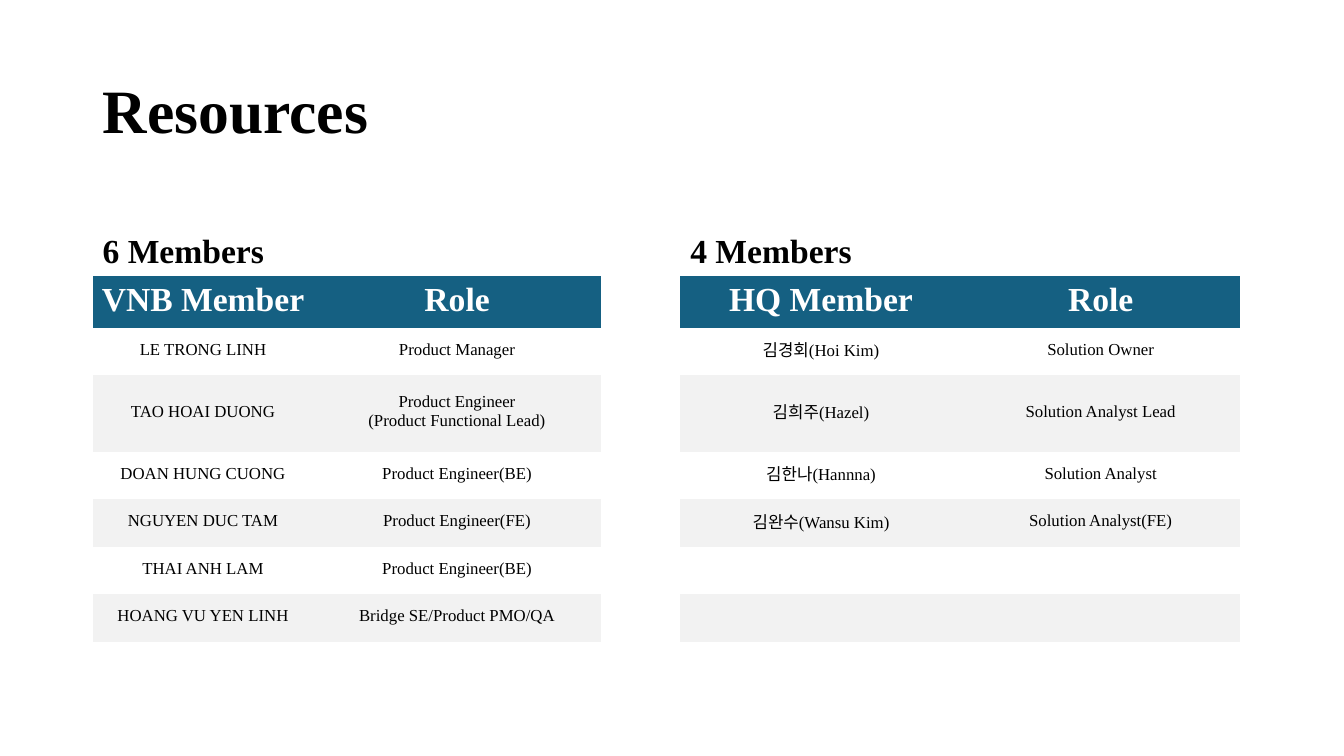
import pptx
import pptx.dml.color
import pptx.enum.text
import pptx.oxml.ns
import pptx.util

Pt = pptx.util.Pt
RGBColor = pptx.dml.color.RGBColor
ANCHOR = pptx.enum.text.MSO_ANCHOR
ALIGN = pptx.enum.text.PP_ALIGN

BLACK = RGBColor(0x00, 0x00, 0x00)
WHITE = RGBColor(0xFF, 0xFF, 0xFF)
TEAL = RGBColor(0x15, 0x60, 0x82)
BAND = RGBColor(0xF2, 0xF2, 0xF2)
PLAIN_TABLE = "{2D5ABB26-0587-4C30-8999-92F81FD0307C}"

LEFT, RIGHT = 66.2, 486
HEADING_TOP, ROSTER_TOP = 132.5, 197.3
ROW_HEIGHTS = [36.9, 34, 54.5, 34, 34, 34, 34]

VNB_ROSTER = [
    ("VNB Member", "Role"),
    ("LE TRONG LINH", "Product Manager"),
    ("TAO HOAI DUONG", "Product Engineer\n(Product Functional Lead)"),
    ("DOAN HUNG CUONG", "Product Engineer(BE)"),
    ("NGUYEN DUC TAM", "Product Engineer(FE)"),
    ("THAI ANH LAM", "Product Engineer(BE)"),
    ("HOANG VU YEN LINH", "Bridge SE/Product PMO/QA"),
]
HQ_ROSTER = [
    ("HQ Member", "Role"),
    ("김경회(Hoi Kim)", "Solution Owner"),
    ("김희주(Hazel)", "Solution Analyst Lead"),
    ("김한나(Hannna)", "Solution Analyst"),
    ("김완수(Wansu Kim)", "Solution Analyst(FE)"),
    ("", ""),
    ("", ""),
]


class ResourceSlide:
    """Draws headings and rosters in one style on one slide."""

    font = "Times New Roman"

    def __init__(self, slide):
        self.slide = slide

    def add_text(self, paragraph, text, size, color, bold):
        for index, line in enumerate(text.split("\n")):
            if index:
                paragraph.add_line_break()
            run = paragraph.add_run()
            run.text = line
            run.font.name = self.font
            run.font.size = Pt(size)
            run.font.bold = bold
            run.font.color.rgb = color

    def heading(self, text, left, top, width, height, size, anchor):
        box = self.slide.shapes.add_textbox(Pt(left), Pt(top), Pt(width), Pt(height))
        frame = box.text_frame
        frame.word_wrap = True
        frame.vertical_anchor = anchor
        paragraph = frame.paragraphs[0]
        paragraph.line_spacing = 0.9
        self.add_text(paragraph, text, size, BLACK, True)

    def roster(self, members, left, top, column_widths):
        holder = self.slide.shapes.add_table(
            len(members), len(column_widths), Pt(left), Pt(top),
            Pt(sum(column_widths)), Pt(sum(ROW_HEIGHTS)))
        for style in holder.element.iter(pptx.oxml.ns.qn("a:tableStyleId")):
            style.text = PLAIN_TABLE
        table = holder.table
        for column, width in zip(table.columns, column_widths):
            column.width = Pt(width)
        for index, (row, entry) in enumerate(zip(table.rows, members)):
            row.height = Pt(ROW_HEIGHTS[index])
            for cell, text in zip(row.cells, entry):
                self.roster_cell(cell, text, index)

    def roster_cell(self, cell, text, row_index):
        header = row_index == 0
        if row_index % 2:
            cell.fill.background()
        else:
            cell.fill.solid()
            cell.fill.fore_color.rgb = TEAL if header else BAND
        cell.vertical_anchor = ANCHOR.MIDDLE
        cell.margin_left = cell.margin_right = cell.margin_top = Pt(0.7)
        cell.margin_bottom = Pt(3.6)
        if text:
            paragraph = cell.text_frame.paragraphs[0]
            paragraph.alignment = ALIGN.CENTER
            self.add_text(paragraph, text, 24 if header else 12,
                          WHITE if header else BLACK, header)


def main():
    deck = pptx.Presentation()
    deck.slide_width, deck.slide_height = Pt(960), Pt(540)
    resources = ResourceSlide(deck.slides.add_slide(deck.slide_layouts[6]))
    resources.heading("Resources", LEFT, 28.8, 828, 104.4, 44, ANCHOR.MIDDLE)
    teams = [
        ("6 Members", LEFT, VNB_ROSTER, (157.7, 205.2)),
        ("4 Members", RIGHT, HQ_ROSTER, (200.9, 198.7)),
    ]
    for headcount, left, members, column_widths in teams:
        resources.heading(headcount, left, HEADING_TOP, 407, 64.8, 24, ANCHOR.BOTTOM)
        resources.roster(members, left, ROSTER_TOP, column_widths)
    deck.save("out.pptx")


if __name__ == "__main__":
    main()
